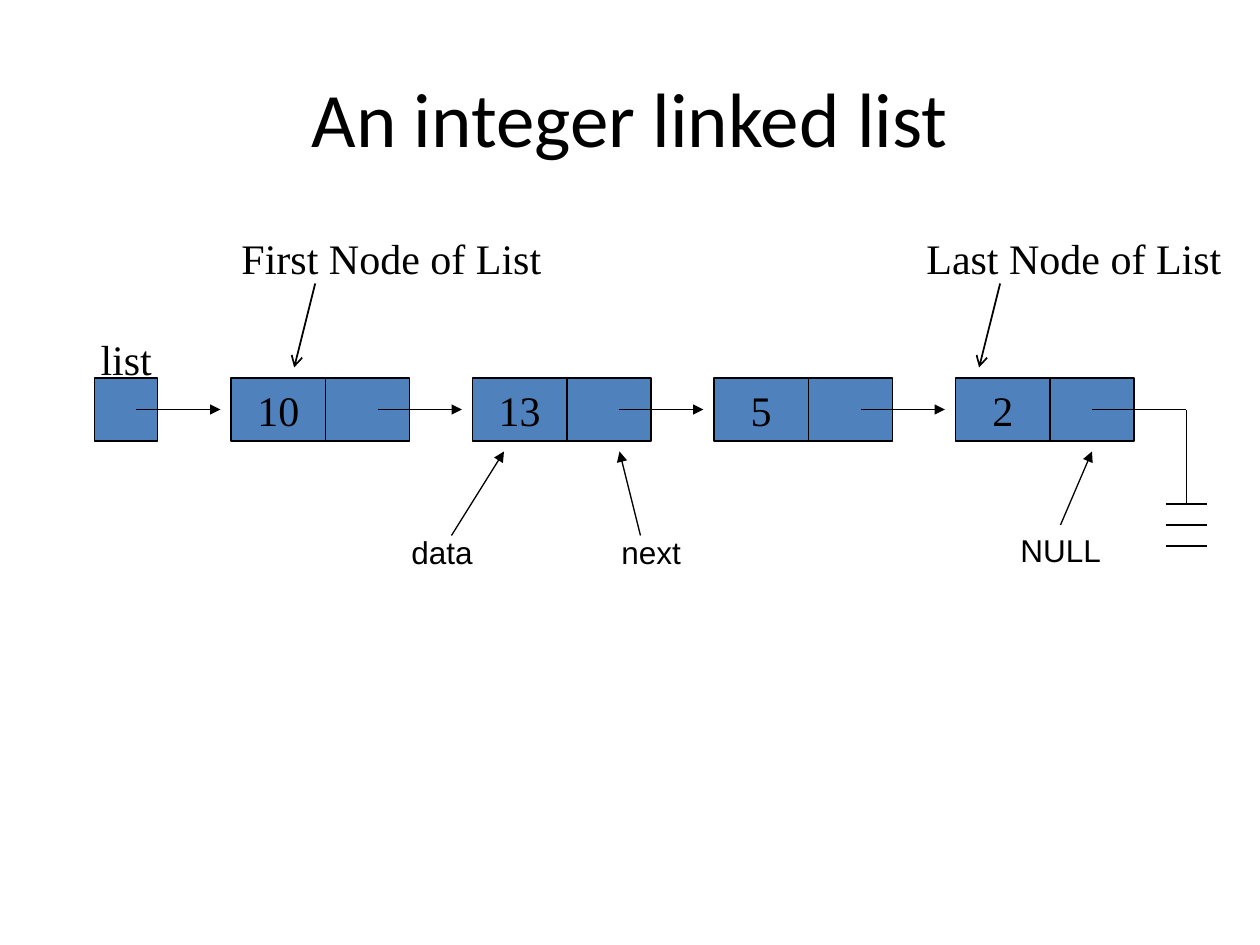
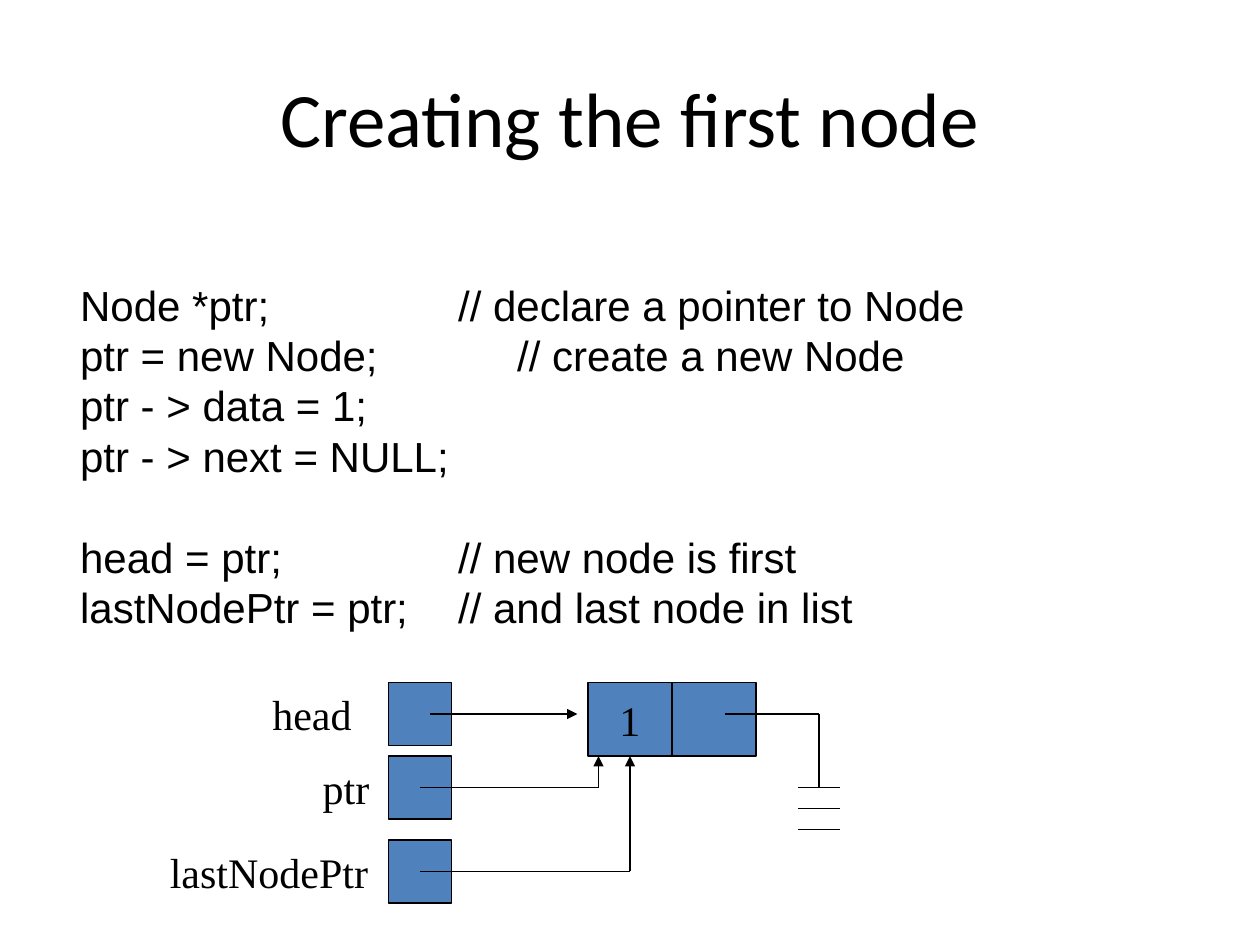
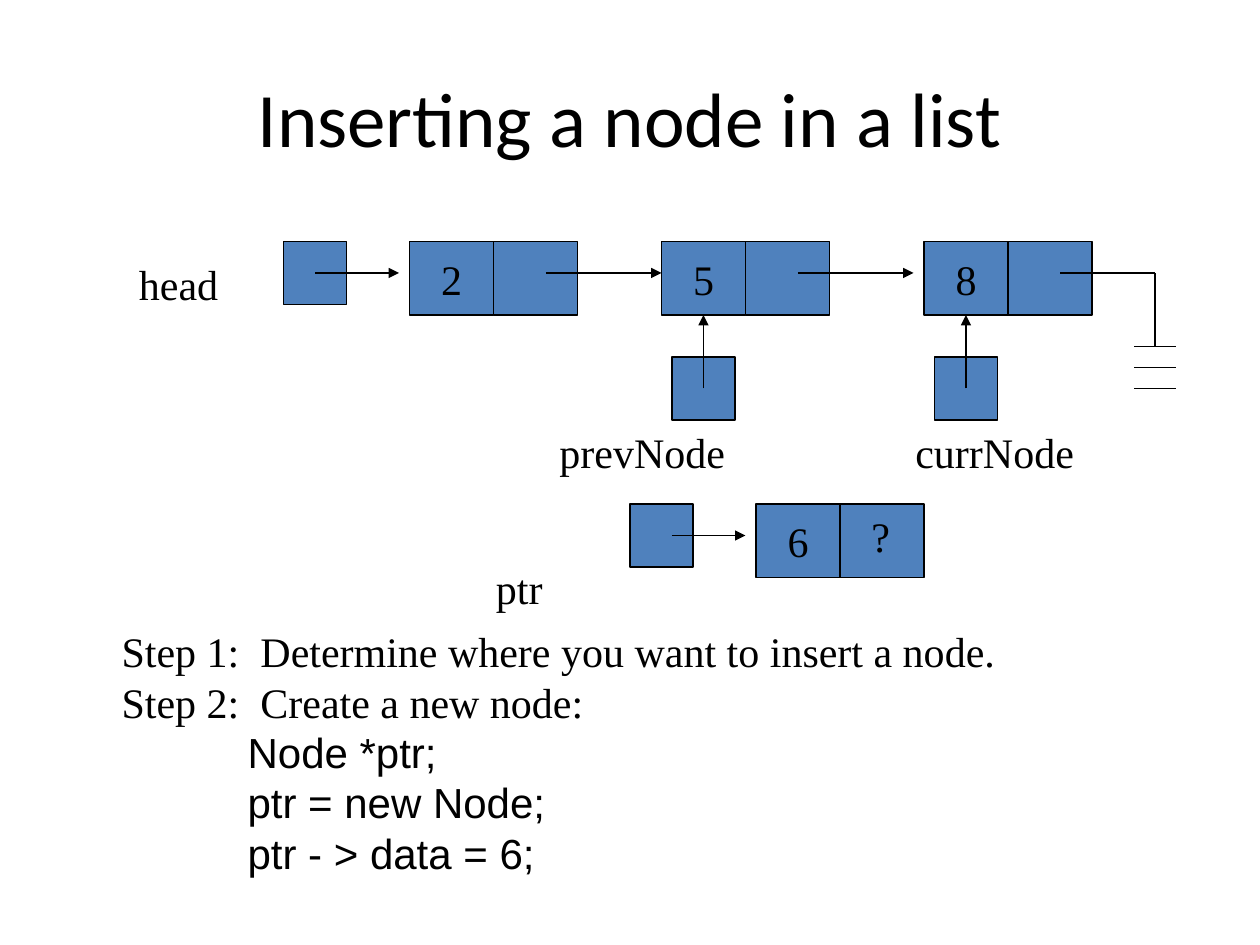
from lxml import etree
from pptx import Presentation
from pptx.dml.color import RGBColor
from pptx.enum.shapes import MSO_CONNECTOR, MSO_SHAPE
from pptx.enum.text import MSO_ANCHOR, PP_ALIGN
from pptx.oxml.ns import qn
from pptx.util import Cm, Pt

RECTANGLE = MSO_SHAPE.RECTANGLE
STRAIGHT = MSO_CONNECTOR.STRAIGHT
MIDDLE = MSO_ANCHOR.MIDDLE
CENTER = PP_ALIGN.CENTER

BLACK = "000000"
BLUE = "4F81BD"
TITLE_FONT = "Calibri"
SERIF = "Times New Roman"
SANS = "Arial"

# Positions count twelfths of an inch
GRID = Cm(2.54) / 12
POINTER_SIZE = 6
NEXT_WIDTH = 8
NEXT_START = 13  # from a node's left edge to where its next arrow starts
BOTTOM = 2


def grid(*units):
    return [round(unit * GRID) for unit in units]


def color(hex_value):
    return RGBColor.from_string(hex_value)


# Text
def write(paragraph, text, font=SERIF, size=24, tab=None, indent=None):
    paragraph.text = text
    properties = paragraph._p.get_or_add_pPr()
    if indent:
        properties.set("marL", str(indent))
        properties.set("indent", "0")
    if tab:
        tabs = etree.SubElement(properties, qn("a:tabLst"))
        etree.SubElement(tabs, qn("a:tab"), pos=str(tab), algn="l")
    paragraph.font.name = font
    paragraph.font.size = Pt(size)
    paragraph.font.color.rgb = color(BLACK)
    if font != TITLE_FONT:
        paragraph.line_spacing = Pt(size * 1.2)


def add_text_frame(slide, left, top, width, height):
    frame = slide.shapes.add_textbox(*grid(left, top, width, height)).text_frame
    frame.word_wrap = True
    return frame


def add_title_slide(presentation, title):
    slide = presentation.slides.add_slide(presentation.slide_layouts[6])
    frame = add_text_frame(slide, 6, 3.6, 108, 15)
    frame.vertical_anchor = MIDDLE
    write(frame.paragraphs[0], title, TITLE_FONT, 44)
    frame.paragraphs[0].alignment = CENTER
    return slide


def add_label(slide, text, left, top, width):
    frame = add_text_frame(slide, left, top, width, 6)
    write(frame.paragraphs[0], text)


def add_caption(slide, text, left, top, width):
    frame = add_text_frame(slide, left, top, width, 4.8)
    write(frame.paragraphs[0], text, SANS, 18)


def add_lines(frame, lines):
    for number, (text, options) in enumerate(lines):
        paragraph = frame.add_paragraph() if number else frame.paragraphs[0]
        write(paragraph, text, **options)


# Lines and arrows
def add_line(slide, x1, y1, x2, y2, head=None, width=1):
    line = slide.shapes.add_connector(STRAIGHT, *grid(x1, y1, x2, y2))
    line.line.color.rgb = color(BLACK)
    line.line.width = Pt(width)
    if head:
        etree.SubElement(line.line._get_or_add_ln(), qn("a:tailEnd"), type=head)
    etree.SubElement(line._element.spPr, qn("a:effectLst"))
    return line


def add_arrow(slide, x1, y1, x2, y2, head="triangle", width=1):
    return add_line(slide, x1, y1, x2, y2, head, width)


def add_null_end(slide, left, top, drop):
    """Line from a next cell down to three short bars."""
    corner, bars_top = left + 9, top + drop
    add_line(slide, left, top, corner, top)
    add_line(slide, corner, top, corner, bars_top)
    for bar in range(3):
        y = bars_top + 2 * bar
        add_line(slide, corner - 2, y, corner + 2, y)


# Cells, pointers and nodes
def add_cell(slide, left, top, width, height, text=None):
    cell = slide.shapes.add_shape(RECTANGLE, *grid(left, top, width, height))
    cell.shadow.inherit = False
    cell.fill.solid()
    cell.fill.fore_color.rgb = color(BLUE)
    cell.line.color.rgb = color(BLACK)
    cell.line.width = Pt(1)
    if text:
        frame = cell.text_frame
        frame.word_wrap = False
        frame.vertical_anchor = MIDDLE
        write(frame.paragraphs[0], text)
        frame.paragraphs[0].alignment = CENTER
    return cell


def add_pointer(slide, left, top):
    add_cell(slide, left, top, POINTER_SIZE, POINTER_SIZE)


def add_node(slide, left, top, value, data_width=8, height=7):
    data_cell = add_cell(slide, left, top, data_width, height, value)
    add_cell(slide, left + data_width, top, NEXT_WIDTH, height)
    return data_cell


# Slides
def build_linked_list(presentation):
    slide = add_title_slide(presentation, "An integer linked list")
    top, middle = 36, 39

    add_pointer(slide, 9, top)
    add_label(slide, "list", 8.4, 31.2, 7.8)
    add_arrow(slide, 13, middle, 21, middle)

    values = ["10", "13", "5", "2"]
    for number, value in enumerate(values):
        left = 22 + 23 * number
        add_node(slide, left, top, value, data_width=9, height=6)
        if number < len(values) - 1:
            add_arrow(slide, left + 14, middle, left + 22, middle)
    add_null_end(slide, left + NEXT_START, middle, 9)

    for text, left, width in [("First Node of List", 21.82, 31.5),
                              ("Last Node of List", 87.05, 31)]:
        add_label(slide, text, left, 21.6, width)
        add_arrow(slide, left + 8.2, 27, left + 6.2, 35, "arrow")

    for text, left, text_top, width, arrow in [
            ("data", 38, 50.2, 9, (43, 51, 48, 43)),
            ("next", 58, 50.2, 9, (61, 51, 59, 43)),
            ("NULL", 96, 50, 12, (101, 50, 104, 43))]:
        add_caption(slide, text, left, text_top, width)
        add_arrow(slide, *arrow, width=0.75)


def build_first_node(presentation):
    slide = add_title_slide(presentation, "Creating the first node")

    # Code, with the comments lined up by a tab stop
    code = {"font": SANS}
    commented = {"font": SANS, "tab": Cm(7.62)}
    frame = add_text_frame(slide, 6.45, 26, 88, 34.8)
    add_lines(frame, [
        ("Node *ptr;\t// declare a pointer to Node", commented),
        ("ptr = new Node;\t// create a new Node", {"font": SANS, "tab": Cm(8.81)}),
        ("ptr - > data = 1;", code),
        ("ptr - > next = NULL;", code),
        ("head = ptr;\t// new node is first", commented),
        ("lastNodePtr = ptr;\t// and last node in list", commented),
    ])
    frame.paragraphs[4].space_before = Pt(28.8)

    # Three pointers to one node
    for text, left, top, width in [("head", 24.75, 65, 10.5),
                                   ("ptr", 29.55, 72, 7.4),
                                   ("lastNodePtr", 15, 80, 21.8)]:
        add_pointer(slide, 37, top)
        add_label(slide, text, left, top, width)
    data_cell = add_node(slide, 56, 65, "1")
    add_null_end(slide, 56 + NEXT_START, 68, 7)
    add_arrow(slide, 41, 68, 55, 68)
    add_line(slide, 40, 75, 57, 75)
    add_arrow(slide, 57, 75, 57, 72)
    add_line(slide, 40, 83, 60, 83)
    add_arrow(slide, 60, 83, 60, 72).end_connect(data_cell, BOTTOM)


def build_insertion(presentation):
    slide = add_title_slide(presentation, "Inserting a node in a list")
    top, middle = 23, 26

    # The list
    add_pointer(slide, 27, top)
    add_label(slide, "head", 12.05, 24, 10.5)
    add_arrow(slide, 30, middle, 38, middle)
    add_node(slide, 39, top, "2")
    previous_cell = add_node(slide, 63, top, "5")
    current_cell = add_node(slide, 88, top, "8")
    for left in (39, 63):
        start = left + NEXT_START
        add_arrow(slide, start, middle, start + 11, middle)
    add_null_end(slide, 88 + NEXT_START, middle, 7)

    # Pointers on both sides of the insertion point
    for text, text_left, width, left, cell in [
            ("prevNode", 52.1, 18.7, 64, previous_cell),
            ("currNode", 86, 18, 89, current_cell)]:
        add_label(slide, text, text_left, 40, width)
        add_pointer(slide, left, 34)
        add_arrow(slide, left + 3, 37, left + 3, 30).end_connect(cell, BOTTOM)

    # The new node
    add_pointer(slide, 60, 48)
    add_label(slide, "ptr", 46.05, 53, 7.4)
    add_node(slide, 72, 48, "6")
    add_label(slide, "?", 81.8, 48, 4.7)
    add_arrow(slide, 64, 51, 71, 51)

    step = {"tab": Cm(2.8)}
    code = {"font": SANS, "indent": Cm(2.54)}
    add_lines(add_text_frame(slide, 10.4, 59, 87, 25.2), [
        ("Step 1:\tDetermine where you want to insert a node.", step),
        ("Step 2:\tCreate a new node:", step),
        ("Node *ptr;", code),
        ("ptr = new Node;", code),
        ("ptr - > data = 6;", code),
    ])


def main():
    presentation = Presentation()
    presentation.slide_width = Cm(25.4)
    presentation.slide_height = Cm(19.05)
    build_linked_list(presentation)
    build_first_node(presentation)
    build_insertion(presentation)
    presentation.save("out.pptx")


if __name__ == "__main__":
    main()
